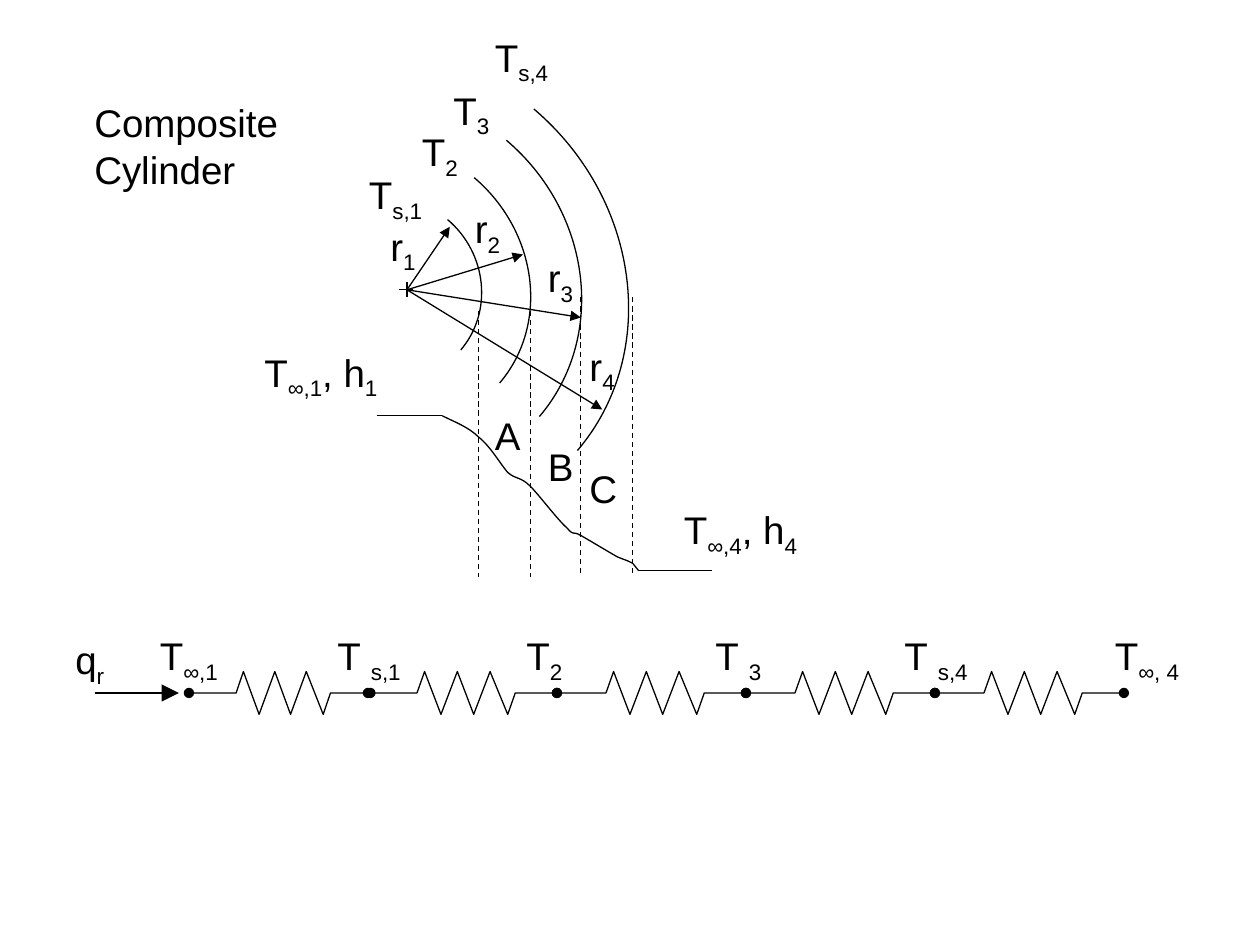
from lxml.etree import SubElement
from pptx import Presentation
from pptx.dml.color import RGBColor
from pptx.enum.dml import MSO_LINE as Dash
from pptx.enum.shapes import MSO_CONNECTOR as Link
from pptx.enum.text import MSO_AUTO_SIZE as Auto
from pptx.oxml.ns import qn
from pptx.util import Pt

PX = 9144  # 100 px to the inch
BLACK = RGBColor(0, 0, 0)
FONT = {"name": "Arial", "size": Pt(22)}
BOW = 0.55  # handle length of a quarter ellipse
TURN = 40.4

deck = Presentation()
deck.slide_width, deck.slide_height = 1000 * PX, 750 * PX
slide = deck.slides.add_slide(deck.slide_layouts[6])
wall = slide.shapes.add_group_shape().shapes
chain = slide.shapes.add_group_shape().shapes


def stroke(shape, head=None, tail=None, dash=None, size="med"):
    shape.line.color.rgb = BLACK
    shape.line.width = Pt(0.75)
    if dash:
        shape.line.dash_style = dash
    pen = shape.line._get_or_add_ln()
    for tag, kind in (("a:headEnd", head), ("a:tailEnd", tail)):
        if kind:
            SubElement(pen, qn(tag), type=kind, w=size, len=size)
    props = shape._element.spPr
    if props.find(qn("a:effectLst")) is None:
        SubElement(props, qn("a:effectLst"))


def label(shapes, text, left, top, wide, high=47, wrap=False):
    """Write text; parts between underscores are subscripts."""
    box = shapes.add_textbox(left * PX, top * PX, wide * PX, high * PX)
    frame = box.text_frame
    frame.word_wrap = wrap
    frame.auto_size = Auto.SHAPE_TO_FIT_TEXT
    for row, words in enumerate(text.split("\n")):
        para = frame.add_paragraph() if row else frame.paragraphs[0]
        for i, part in enumerate(words.split("_")):
            if not part:
                continue
            run = para.add_run()
            run.text = part
            for key, value in FONT.items():
                setattr(run.font, key, value)
            run.font.color.rgb = BLACK
            if i % 2:
                run._r.get_or_add_rPr().set("baseline", "-25000")


# Cylinder arcs: turned quarter ellipses
curves = []
for x, y, w, h in [(340, 130, 202, 184), (334, 146, 162, 150),
                   (326, 167, 121, 111), (323, 190, 75, 72)]:
    bend = (x + BOW * w, y, x + w, y + (1 - BOW) * h, x + w, y + h)
    curves.append((x, y, [bend], TURN))

# Temperature profile
curves.append((351, 330, [
    (361, 335, 372, 339, 380, 347), (389, 354, 397, 368, 403, 375),
    (410, 381, 413, 378, 421, 386), (428, 393, 443, 413, 450, 419),
    (456, 426, 454, 421, 461, 425), (468, 429, 483, 438, 490, 442),
    (497, 445, 499, 445, 502, 447), (504, 449, 506, 452, 507, 453)], 0))

# Every curve starts at its top left; its segments become cubic
for left, top, bends, turn in curves:
    pen = wall.build_freeform(left * PX, top * PX)
    pen.add_line_segments([(b[4] * PX, b[5] * PX) for b in bends], close=False)
    curve = pen.convert_to_shape()
    for step, bend in zip(list(curve._element.iter(qn("a:lnTo"))), bends):
        step.tag = qn("a:cubicBezTo")
        step.remove(step[0])
        for x, y in zip(bend[::2], bend[1::2]):
            SubElement(step, qn("a:pt"), x=str(round((x - left) * PX)),
                       y=str(round((y - top) * PX)))
    curve.rotation = turn
    curve.fill.background()
    stroke(curve)

# Straight lines: wall edges, profile ends, centre mark, radii, heat flow
edges = [(380, 247), (421, 247), (461, 236), (502, 236)]
plain = [(299, 330, 351, 330), (507, 453, 565, 453),
         (323, 224, 323, 236), (317, 230, 328, 230)]
tips = [(478, 325), (461, 252), (415, 202), (357, 180)]
lines = [(wall, (x, y, x, 458), {"dash": Dash.DASH}) for x, y in edges]
lines += [(wall, ends, {}) for ends in plain]
lines += [(wall, (323, 230, *tip), {"tail": "triangle"}) for tip in tips]
lines.append((chain, (75, 550, 142, 550), {"tail": "triangle", "size": "lg"}))
for group, ends, look in lines:
    line = group.add_connector(Link.STRAIGHT, *(v * PX for v in ends))
    stroke(line, **look)

# Resistors in series
ZIGZAG = [(0, 550), (39, 550), (45, 533), (58, 567), (71, 533), (84, 567),
          (97, 533), (111, 567), (117, 550), (150, 550)]
for left, wide in [(150, 144)] + [(292 + 150 * n, 150) for n in range(4)]:
    path = [((left + x * wide / 150) * PX, y * PX) for x, y in ZIGZAG]
    pen = chain.build_freeform(*path[0])
    pen.add_line_segments(path[1:], close=False)
    coil = pen.convert_to_shape()
    coil.fill.background()
    stroke(coil, "oval", "oval")

# Labels on the cylinder
for text, left, top, wide in [
    ("A", 383, 322, 40), ("B", 425, 347, 40), ("C", 458, 364, 42),
    ("r_1_", 300, 172, 42), ("r_3_", 425, 197, 42), ("r_4_", 458, 267, 42),
    ("T_s,1_", 283, 131, 67), ("T_s,4_", 383, 22, 67),
    ("T_3_", 350, 64, 51), ("T_2_", 325, 97, 51),
    ("T_∞,1_, h_1_", 200, 272, 117), ("T_∞,4_, h_4_", 533, 397, 117),
]:
    label(wall, text, left, top, wide)
label(wall, "r_2_", 367, 158, 50, wrap=True)

# Labels on the circuit
for text, left, wide in [
    ("T_∞,1_", 117, 71), ("T _s,1_", 258, 75), ("T_2_", 408, 51),
    ("T _3_", 558, 59), ("T _s,4_", 708, 75), ("T_∞, 4_", 875, 77),
]:
    label(chain, text, left, 497, wide)
label(chain, "q_r_", 50, 500, 60, wrap=True)

# Heading
label(slide.shapes, "Composite\nCylinder", 65, 74, 175, 83)

deck.save("out.pptx")
